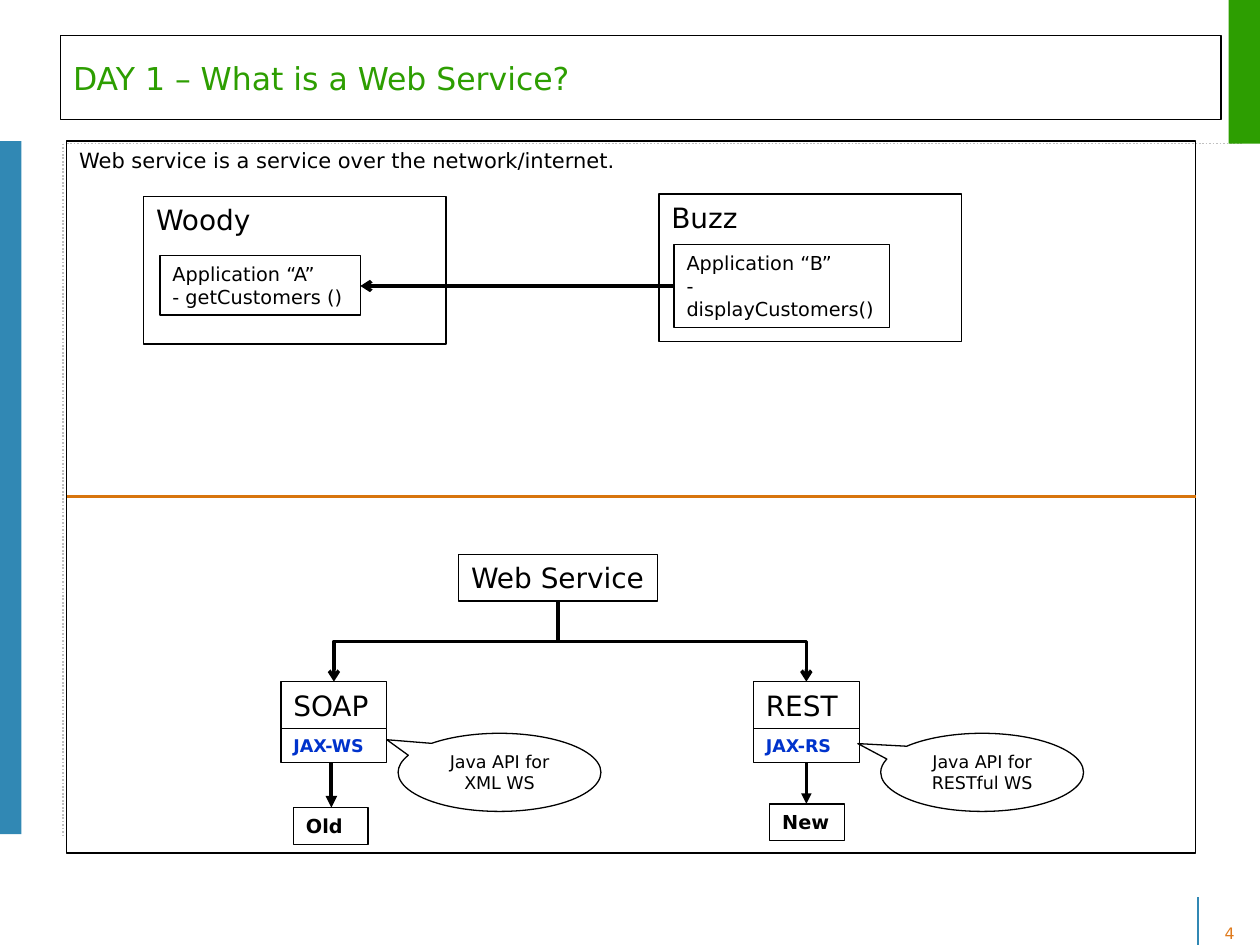
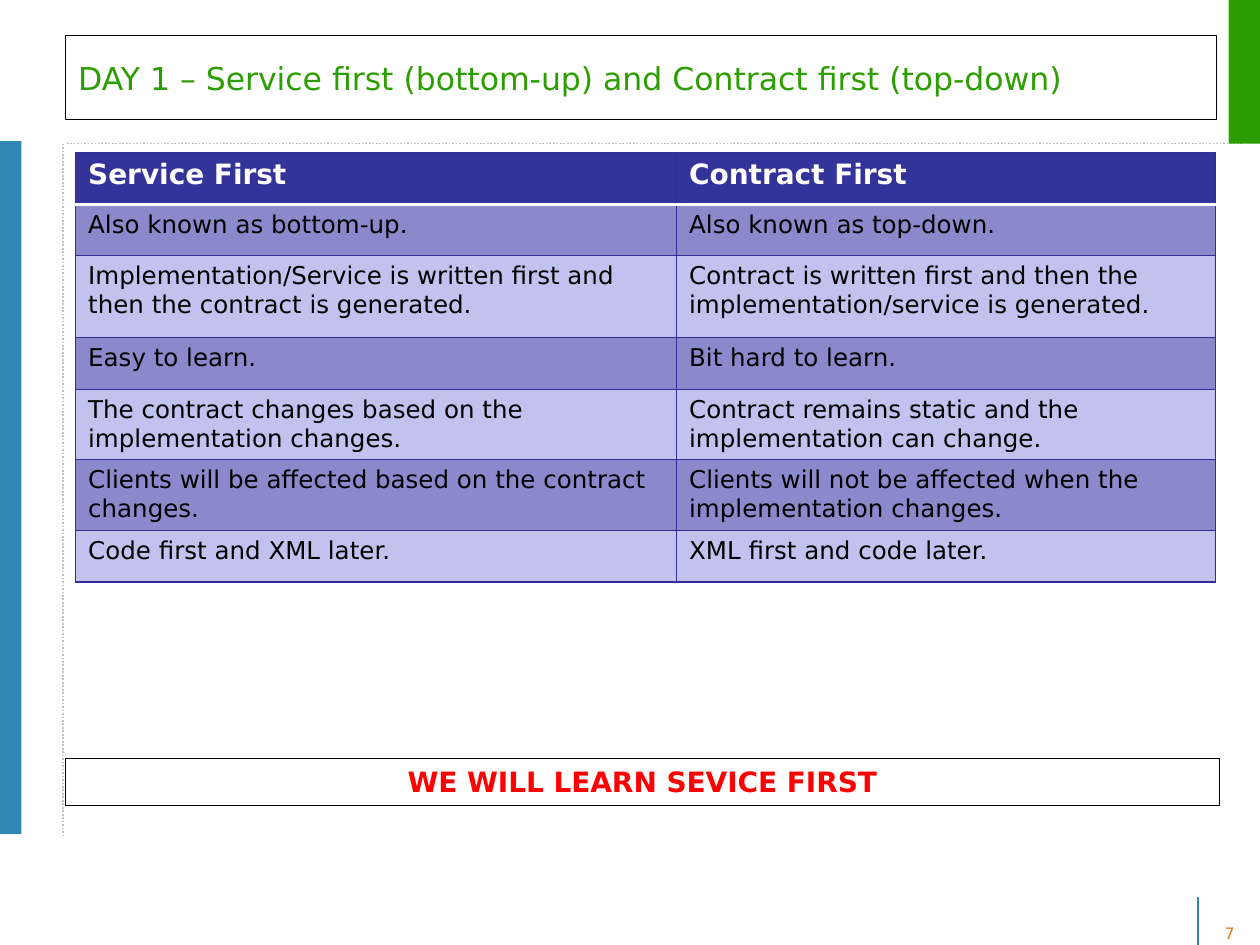
"""Build two training slides: what a web service is, and service first versus contract first."""
import pptx
import pptx.dml.color
import pptx.enum.dml
import pptx.enum.shapes
import pptx.enum.text
import pptx.oxml.ns
import pptx.util
from lxml import etree

Inches, Pt = pptx.util.Inches, pptx.util.Pt
RGB = pptx.dml.color.RGBColor.from_string
qn = pptx.oxml.ns.qn
SHAPE = pptx.enum.shapes.MSO_SHAPE
CONNECTOR = pptx.enum.shapes.MSO_CONNECTOR
ANCHOR = pptx.enum.text.MSO_ANCHOR
ALIGN = pptx.enum.text.PP_ALIGN

COLORS = {
    "green": "2D9E01", "blue": "3188B4", "orange": "D8750D", "number": "DF7A1C",
    "dots": "C0C0C0", "black": "000000", "white": "FFFFFF", "api": "0033CC",
    "red": "FF0000", "header": "333399", "dark_row": "8989CB", "light_row": "C2C2EE",
    "grid": "2F2F98",
}
FONT = "DejaVu Sans"


def add_box(slide, at, text="", size=11, color="black", bold=False, fill=None, outline="black",
            weight=0.75, kind=SHAPE.RECTANGLE, anchor=ANCHOR.MIDDLE, align=ALIGN.LEFT, shape=None):
    left, top, width, height = map(Inches, at)
    if shape is None:
        shape = slide.shapes.add_shape(kind, left, top, width, height)
        shape.shadow.inherit = False
    for name, value in {"left": left, "top": top, "width": width, "height": height}.items():
        setattr(shape, name, value)
    if fill:
        shape.fill.solid()
        shape.fill.fore_color.rgb = RGB(COLORS[fill])
    else:
        shape.fill.background()
    if outline:
        shape.line.color.rgb = RGB(COLORS[outline])
        shape.line.width = Pt(weight)
    else:
        shape.line.fill.background()
    frame = shape.text_frame
    frame.text = text
    frame_format = {"word_wrap": True, "vertical_anchor": anchor,
                    "auto_size": pptx.enum.text.MSO_AUTO_SIZE.NONE,
                    "margin_left": Inches(0.1), "margin_right": Inches(0.1),
                    "margin_top": Inches(0.05), "margin_bottom": Inches(0.05)}
    for name, value in frame_format.items():
        setattr(frame, name, value)
    for paragraph in frame.paragraphs:
        paragraph.alignment = align
        for name, value in {"name": FONT, "size": Pt(size), "bold": bold}.items():
            setattr(paragraph.font, name, value)
        paragraph.font.color.rgb = RGB(COLORS[color])
    return shape


def add_line(slide, start, end, color="black", weight=2.0, head=None, dash=None,
             kind=CONNECTOR.STRAIGHT):
    line = slide.shapes.add_connector(kind, *map(Inches, (*start, *end)))
    line.line.color.rgb = RGB(COLORS[color])
    line.line.width = Pt(weight)
    if dash:
        line.line.dash_style = dash
    properties = line._element.spPr
    if head:
        etree.SubElement(properties.find(qn("a:ln")), qn("a:tailEnd"), type=head)
    etree.SubElement(properties, qn("a:effectLst"))
    return line


deck = pptx.Presentation()
deck.slide_width, deck.slide_height = Inches(10), Inches(7.5)
title_only = deck.slide_layouts[5]

headings = [
    ("DAY 1 – What is a Web Service?", "4", (0.48, 0.28, 9.21, 0.67), 0.75),
    ("DAY 1 – Service first (bottom-up) and Contract first (top-down)", "7",
     (0.52, 0.28, 9.13, 0.67), 0.25),
]
dotted = pptx.enum.dml.MSO_LINE.ROUND_DOT
for heading, number, place, weight in headings:
    slide = deck.slides.add_slide(title_only)
    add_line(slide, (9.51, 7.5), (9.51, 7.12), "blue", 1)
    add_line(slide, (0.53, 1.14), (9.86, 1.14), "dots", 1, dash=dotted)
    add_line(slide, (0.5, 1.14), (0.5, 6.64), "dots", 1, dash=dotted)
    add_box(slide, (0, 1.12, 0.17, 5.5), fill="blue", outline=None)
    add_box(slide, (9.75, 0, 0.25, 1.14), fill="green", outline=None)
    add_box(slide, (9.56, 7.28, 0.4, 0.25), number, 9, "number", outline=None,
            anchor=ANCHOR.TOP, align=ALIGN.CENTER)
    add_box(slide, place, heading, 18, "green", weight=weight, shape=slide.shapes.title)

service, approaches = deck.slides

add_box(service, (0.53, 1.12, 8.96, 5.65),
        "Web service is a service over the network/internet.", 12, anchor=ANCHOR.TOP)
hosts = [
    ("Woody", (1.14, 1.56, 2.4, 1.17), "Application “A”\n- getCustomers ()",
     (1.27, 2.03, 1.59, 0.47)),
    ("Buzz", (5.23, 1.54, 2.4, 1.17), "Application “B”\n- displayCustomers()",
     (5.35, 1.94, 1.71, 0.66)),
]
for host, host_place, application, application_place in hosts:
    add_box(service, host_place, host, 16, fill="white", anchor=ANCHOR.TOP)
    add_box(service, application_place, application, fill="white")
add_line(service, (5.35, 2.27), (2.86, 2.27), head="arrow")
add_line(service, (0.53, 3.94), (9.49, 3.94), "orange")

root_x, root_bottom, style_top = 4.43, 4.77, 5.41
add_box(service, (3.64, 4.4, 1.58, 0.37), "Web Service", 16, fill="white")
styles = [
    ("SOAP", "JAX-WS", 2.23, "Old", (2.33, 6.41), 2.63, 2.25,
     "Java API for XML WS", 3.16, (-0.556, -0.418)),
    ("REST", "JAX-RS", 5.98, "New", (6.11, 6.38), 6.4, 1.5,
     "Java API for RESTful WS", 6.99, (-0.613, -0.368)),
]
for style, api, left, age, age_corner, arrow_x, weight, meaning, callout_left, tip in styles:
    style_x = left + 0.42
    drop, span = style_top - root_bottom, abs(style_x - root_x)
    middle_x, middle_y = (root_x + style_x) / 2, (root_bottom + style_top) / 2
    near, far = middle_x - drop / 2, middle_x + drop / 2
    goes_right = style_x > root_x
    if goes_right:
        near, far = far, near
    branch = add_line(service, (near, middle_y - span / 2), (far, middle_y + span / 2),
                      head="arrow", kind=CONNECTOR.ELBOW)
    quarter_turns = 3 if goes_right else 1
    branch._element.spPr.find(qn("a:xfrm")).set("rot", str(quarter_turns * 5400000))

    add_box(service, (left, style_top, 0.84, 0.37), style, 16, fill="white")
    add_box(service, (left, 5.78, 0.84, 0.27), api, 10, "api", True, fill="white")
    add_box(service, (*age_corner, 0.59, 0.29), age, bold=True, fill="white")
    add_line(service, (arrow_x, 6.05), (arrow_x, age_corner[1]), weight=weight, head="triangle")
    callout = add_box(service, (callout_left, 5.82, 1.61, 0.62), meaning, 10,
                      kind=SHAPE.OVAL_CALLOUT, align=ALIGN.CENTER)
    callout.adjustments[0], callout.adjustments[1] = tip

comparison = [
    ("Service First", "Contract First", 0.41),
    ("Also known as bottom-up.", "Also known as top-down.", 0.41),
    ("Implementation/Service is written first and then the contract is generated.",
     "Contract is written first and then the implementation/service is generated.", 0.65),
    ("Easy to learn.", "Bit hard to learn.", 0.41),
    ("The contract changes based on the implementation changes.",
     "Contract remains static and the implementation can change.", 0.56),
    ("Clients will be affected based on the contract changes.",
     "Clients will not be affected when the implementation changes.", 0.56),
    ("Code first and XML later.", "XML first and code later.", 0.41),
]
table = approaches.shapes.add_table(len(comparison), 2, Inches(0.6), Inches(1.21),
                                    Inches(9.05), Inches(3.41)).table
for column, width in zip(table.columns, (4.77, 4.28)):
    column.width = Inches(width)
for row, (*texts, height) in enumerate(comparison):
    table.rows[row].height = Inches(height)
    is_header = row == 0
    band = "header" if is_header else ("dark_row" if row % 2 else "light_row")
    for column, text in enumerate(texts):
        cell = table.cell(row, column)
        cell.text = text
        font = cell.text_frame.paragraphs[0].font
        for name, value in {"name": FONT, "size": Pt(16 if is_header else 14),
                            "bold": is_header}.items():
            setattr(font, name, value)
        font.color.rgb = RGB(COLORS["white" if is_header else "black"])
        for side in ("lnL", "lnR", "lnT", "lnB"):
            below_header = (row, side) in ((0, "lnB"), (1, "lnT"))
            border = etree.SubElement(cell._tc.get_or_add_tcPr(), qn(f"a:{side}"),
                                      w=str(Pt(2 if below_header else 0.75)))
            paint = etree.SubElement(border, qn("a:solidFill"))
            etree.SubElement(paint, qn("a:srgbClr"),
                             val=COLORS["white" if below_header else "grid"])
        cell.fill.solid()
        cell.fill.fore_color.rgb = RGB(COLORS[band])

add_box(approaches, (0.52, 6.02, 9.16, 0.37), "WE WILL LEARN SEVICE FIRST", 16, "red", True,
        weight=0.25, anchor=ANCHOR.TOP, align=ALIGN.CENTER)

deck.save("out.pptx")
